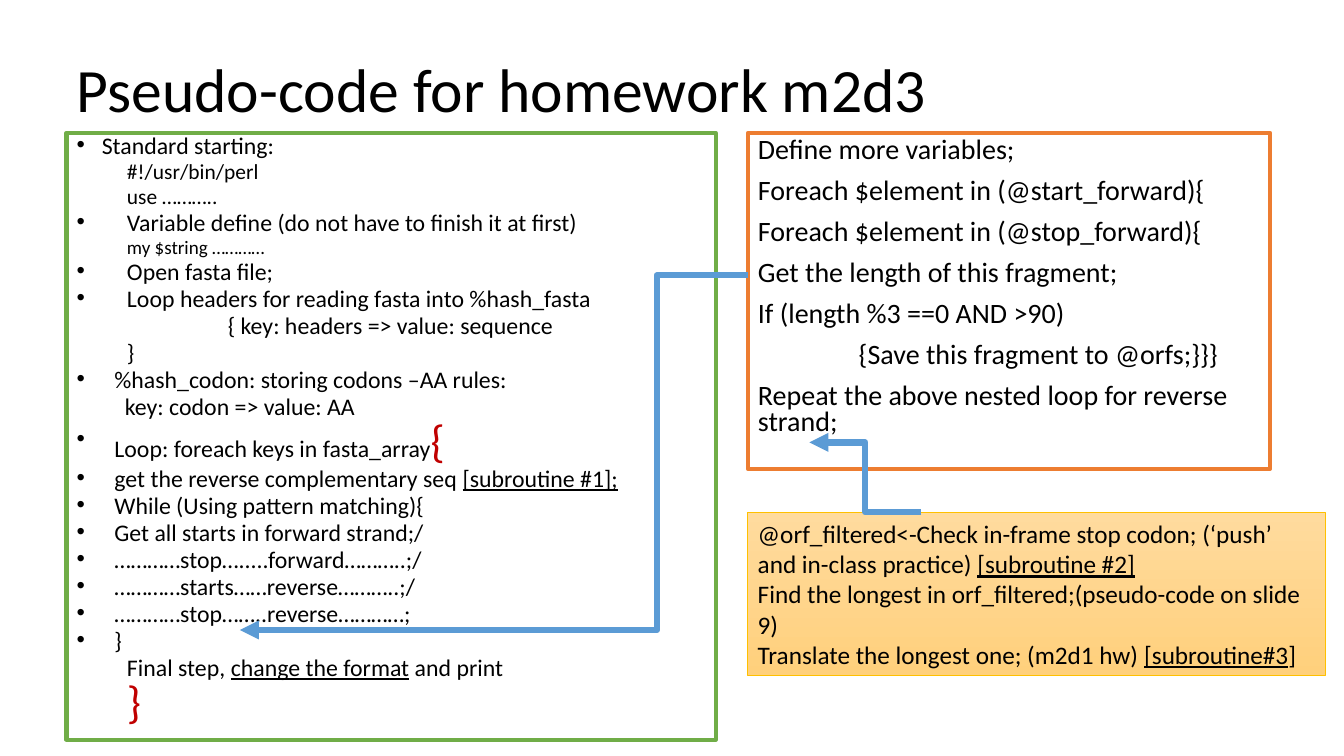
from lxml import etree
from pptx import Presentation
from pptx.dml.color import RGBColor
from pptx.enum import shapes, text
from pptx.oxml import ns
from pptx.util import Pt

COLORS = {"ink": "000000", "paper": "FFFFFF", "brace": "C00000",
          "green": "70AD47", "orange": "ED7D31", "blue": "5B9BD5",
          "gold": "FFC000", "gold_top": "FFDB9E", "gold_bottom": "FFD07C"}
UNDERLINE = {"underline": True}
BRACE = {"size": 32.3, "color": "brace"}


def rgb(name):
    return RGBColor.from_string(COLORS[name])


def write(frame, line, size=17, accent=UNDERLINE, margin=0, hang=0,
          bullet=False, level=0, spacing=1.0, before=0):
    """Add one paragraph; pieces between bars take the accent format."""
    para = frame.paragraphs[0]
    if para.runs:
        para = frame.add_paragraph()
    para.alignment = text.PP_ALIGN.LEFT
    para.level = level
    para.line_spacing, para.space_before = spacing, Pt(before)
    props = para._p.get_or_add_pPr()
    props.set("marL", str(Pt(margin)))
    props.set("indent", str(Pt(-hang)))
    mark = etree.SubElement(props, ns.qn("a:buChar" if bullet else "a:buNone"))
    if bullet:
        mark.set("char", "•")
    for i, piece in enumerate(line.split("|")):
        if not piece:
            continue
        look = accent if i % 2 else {}
        run = para.add_run()
        run.text = piece
        run.font.name = "Calibri"
        run.font.size = Pt(look.get("size", size))
        run.font.color.rgb = rgb(look.get("color", "ink"))
        if look.get("underline"):
            run.font.underline = True


deck = Presentation()
deck.slide_width, deck.slide_height = Pt(960), Pt(540)
slide = deck.slides.add_slide(deck.slide_layouts[3])
title, main_steps, nested_loop = slide.placeholders

# Placement of the placeholders
for part, box, border in ((title, (47.5, 13.7, 828, 104.4), None),
                          (main_steps, (47.5, 95, 463.7, 433.4), "green"),
                          (nested_loop, (534.2, 95, 373, 239.8), "orange")):
    part.left, part.top, part.width, part.height = map(Pt, box)
    part.text_frame.auto_size = text.MSO_AUTO_SIZE.NONE
    part.text_frame.word_wrap = True
    if border:
        part.fill.solid()
        part.fill.fore_color.rgb = rgb("paper")
        part.line.color.rgb = rgb(border)
        part.line.width = Pt(3)

# Title
title.text_frame.vertical_anchor = text.MSO_ANCHOR.MIDDLE
write(title.text_frame, "Pseudo-code for homework m2d3", size=44, spacing=0.9)

# Main steps
top_item = dict(margin=18, hang=18, bullet=True, before=10)
wide_item = dict(margin=36, hang=36, bullet=True)
item = dict(margin=27, hang=27, bullet=True)
plain = dict(margin=36, level=1)
steps = [
    ("Standard starting:", top_item),
    ("#!/usr/bin/perl", {**plain, "size": 15.3}),
    ("use ………..", {**plain, "size": 15.3}),
    ("Variable define (do not have to finish it at first)", wide_item),
    ("my $string …………", {**plain, "size": 13.6}),
    ("Open fasta file;", wide_item),
    ("Loop headers for reading fasta into %hash_fasta", wide_item),
    ("{ key: headers => value: sequence", {**plain, "margin": 108}),
    ("}", plain),
    ("%hash_codon: storing codons –AA rules:", item),
    ("key: codon => value: AA", {**plain, "margin": 34.5}),
    ("Loop: foreach keys in fasta_array|{|", {**item, "accent": BRACE}),
    ("get the reverse complementary seq |[subroutine #1];|", item),
    ("While (Using pattern matching){", item),
    ("Get all starts in forward strand;/", item),
    ("…………stop….....forward………..;/", item),
    ("…………starts……reverse………..;/", item),
    ("…………stop……..reverse…………;", item),
    ("}", item),
    ("Final step, |change the format| and print", plain),
    ("|}|", {**plain, "accent": BRACE}),
]
for line, look in steps:
    write(main_steps.text_frame, line, **{"spacing": 0.7, "before": 5, **look})

# Nested loop
for line, margin in (("Define more variables;", 0),
                     ("Foreach $element in (@start_forward){", 0),
                     ("Foreach $element in (@stop_forward){", 0),
                     ("Get the length of this fragment;", 0),
                     ("If (length %3 ==0 AND >90)", 0),
                     ("{Save this fragment to @orfs;}}}", 72),
                     ("Repeat the above nested loop for reverse strand;", 0)):
    write(nested_loop.text_frame, line, size=20, margin=margin,
          spacing=0.8, before=10)

# Filtering of the reading frames
orf_filter = slide.shapes.add_shape(shapes.MSO_SHAPE.RECTANGLE, Pt(534.2),
                                    Pt(365.8), Pt(412.6), Pt(116.6))
orf_filter.shadow.inherit = False
orf_filter.fill.gradient()
orf_filter.fill.gradient_angle = 270
for stop, name in zip(orf_filter.fill.gradient_stops, ("gold_top", "gold_bottom")):
    stop.color.rgb = rgb(name)
orf_filter.line.color.rgb = rgb("gold")
orf_filter.line.width = Pt(0.5)
orf_filter.text_frame.word_wrap = True
orf_filter.text_frame.auto_size = text.MSO_AUTO_SIZE.SHAPE_TO_FIT_TEXT
for line in ("@orf_filtered<-Check in-frame stop codon; (‘push’ and in-class "
             "practice) |[subroutine #2]|",
             "Find the longest in orf_filtered;(pseudo-code on slide 9)",
             "Translate the longest one; (m2d1 hw) |[subroutine#3|]"):
    write(orf_filter.text_frame, line, size=18)

# Arrows to where each block is inserted; bend is a share of the width
for ends, bend in (((534.2, 196.6, 171.4, 450), 0.179),
                   ((658, 365.8, 578.2, 316), 0.5)):
    arrow = slide.shapes.add_connector(shapes.MSO_CONNECTOR.ELBOW, *map(Pt, ends))
    arrow.line.color.rgb = rgb("blue")
    arrow.line.width = Pt(4.5)
    props = arrow._element.spPr
    guides = props.find(ns.qn("a:prstGeom")).find(ns.qn("a:avLst"))
    etree.SubElement(guides, ns.qn("a:gd"), name="adj1",
                     fmla=f"val {round(bend * 100000)}")
    etree.SubElement(props.find(ns.qn("a:ln")), ns.qn("a:tailEnd"), type="triangle")
    etree.SubElement(props, ns.qn("a:effectLst"))

deck.save("out.pptx")
